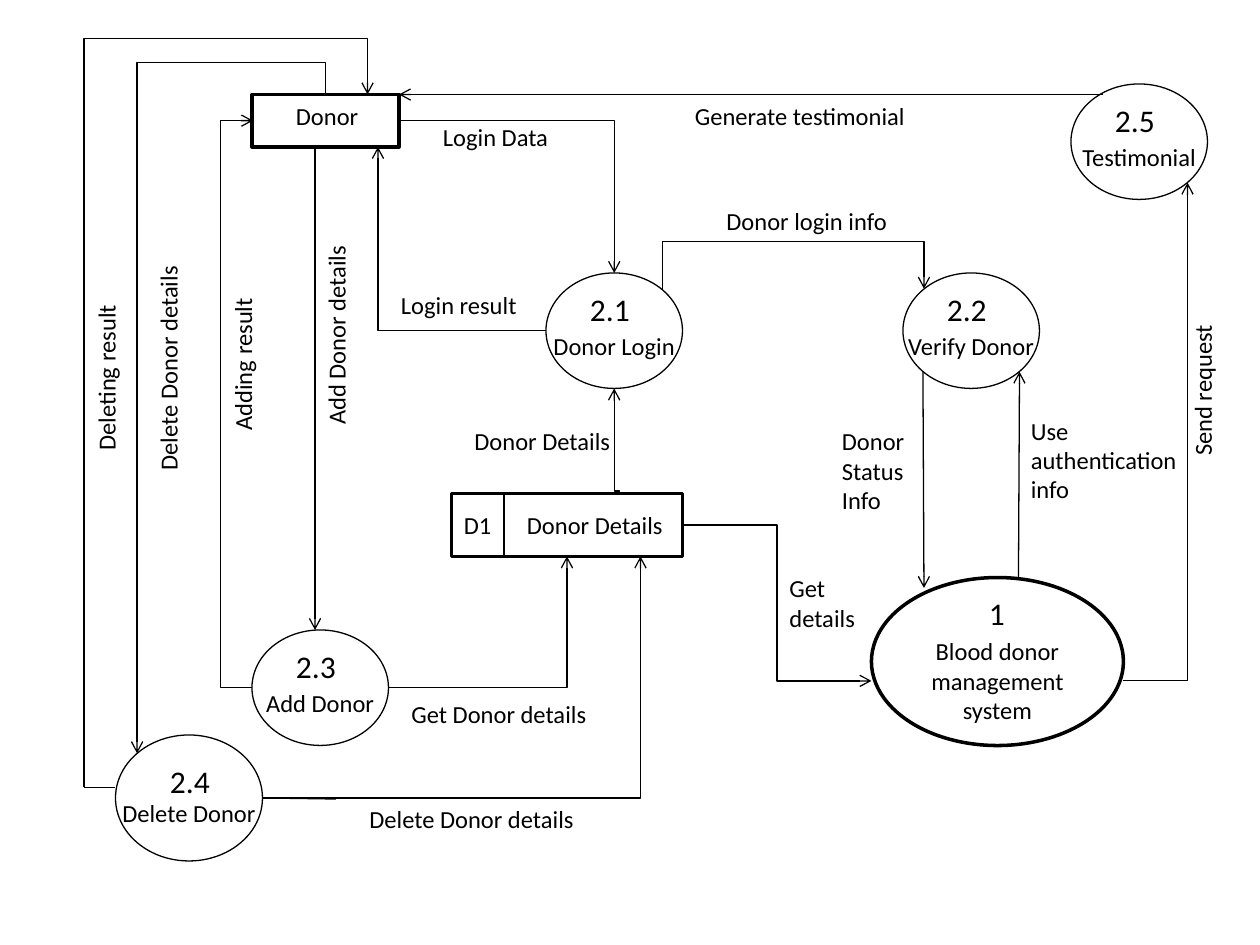
import pptx
import pptx.dml.color
import pptx.enum.shapes
import pptx.enum.text
import pptx.oxml.ns
import pptx.util
from lxml import etree

# The slide is a grid of 120 columns by 90 rows; every length below is in cells.
CELL = 1 / 12
FONT, INK, PAPER = "Calibri", "000000", "FFFFFF"
THIN, THICK = 0.75, 2
TEXT, NUMBER = 14, 18
LINE_HEIGHT = 2.8

RECTANGLE = pptx.enum.shapes.MSO_SHAPE.RECTANGLE
OVAL = pptx.enum.shapes.MSO_SHAPE.OVAL
LEFT = pptx.enum.text.PP_ALIGN.LEFT
CENTER = pptx.enum.text.PP_ALIGN.CENTER

# number, caption, (left, top, width, height), (number left, number top)
PROCESSES = [
    ("2.1", "Donor Login", (52, 26, 13, 11), (55, 27)),
    ("2.2", "Verify Donor", (86, 26, 13, 11), (89, 27)),
    ("2.3", "Add Donor", (24, 60, 13, 11), (27, 61)),
    ("2.4", "Delete Donor", (11, 70, 14, 12), (15, 72)),
    ("2.5", "Testimonial", (102, 8, 13, 11), (105, 9)),
]

# lines, left, top, width
LABELS = [
    (["Donor"], 27, 9, 8.4),
    (["D1"], 43, 48, 5),
    (["Donor Details"], 49, 48, 15.5),
    (["Login Data"], 41, 11, 12.6),
    (["Donor login info"], 68, 19, 17.9),
    (["Login result"], 37, 27, 13.6),
    (["Donor Details"], 44, 40, 15.5),
    (["Get Donor details"], 38, 66, 19.3),
    (["Delete Donor details"], 34, 76, 22.1),
    (["Generate testimonial"], 65, 9, 22.7),
    (["Use", "authentication", "info"], 97, 39, 17),
    (["Donor", "Status", "Info"], 79, 40, 9),
    (["Get", "details"], 74, 54, 8.8),
]

# text, centre column, centre row, length
UPRIGHT_LABELS = [
    ("Deleting result", 10.1, 35.6, 17),
    ("Delete Donor details", 16, 34.8, 22.4),
    ("Adding result", 23.1, 34.6, 15.2),
    ("Add Donor details", 32, 31.8, 19.7),
    ("Send request", 114.5, 37.1, 15),
]

# corner points of each arrow, from tail to head
FLOWS = [
    [(38, 11.5), (58.5, 11.5), (58.5, 26)],
    [(63.1, 27.6), (63.1, 23), (88, 23), (88, 27.5)],
    [(97, 55), (97.1, 35.4)],
    [(87.9, 35.4), (88, 56)],
    [(30, 14), (30, 60)],
    [(37, 65.5), (54, 65.5), (54, 53)],
    [(24, 65.5), (21, 65.5), (21, 11.5), (24.1, 11.5)],
    [(52, 31.5), (36, 31.5), (36, 14)],
    [(59, 47), (59, 46.75), (58.5, 46.75), (58.5, 37)],
    [(31, 9), (31, 6), (13.05, 6), (13.05, 71.75)],
    [(25, 76), (61, 76), (61, 53)],
    [(8, 75), (8, 3.65), (35, 3.65), (35, 9)],
    [(105, 9), (38, 9)],
    [(65, 50), (74, 50), (74, 64.85), (83, 64.85)],
    [(107, 64.8), (113.1, 64.8), (113.1, 17.4)],
]

PLAIN_LINES = [
    [(48, 47), (48, 53)],
    [(32, 76.1), (25, 76)],
    [(8, 75), (11, 75)],
]


def color(hex_text):
    return pptx.dml.color.RGBColor.from_string(hex_text)


def cells(*counts):
    return [pptx.util.Inches(count * CELL) for count in counts]


def write(para, text, size, align):
    para.alignment = align
    span = para.add_run()
    span.text = text
    span.font.name = FONT
    span.font.size = pptx.util.Pt(size)
    span.font.color.rgb = color(INK)


def add_outline(page, kind, frame, weight):
    shape = page.shapes.add_shape(kind, *cells(*frame))
    shape.shadow.inherit = False
    shape.fill.background()
    shape.line.color.rgb = color(INK)
    shape.line.width = pptx.util.Pt(weight)
    return shape


def add_label(page, lines, left, top, width, size=TEXT, align=LEFT):
    height = len(lines) * LINE_HEIGHT + 1.2
    box = page.shapes.add_textbox(*cells(left, top, width, height))
    frame = box.text_frame
    frame.word_wrap = len(lines) > 1
    frame.auto_size = pptx.enum.text.MSO_AUTO_SIZE.SHAPE_TO_FIT_TEXT
    for index, line in enumerate(lines):
        para = frame.add_paragraph() if index else frame.paragraphs[0]
        write(para, line, size, align)
    return box


def add_upright_label(page, text, column, row, length):
    """Add a label that reads upwards, centred on a grid point."""
    top = row - (LINE_HEIGHT + 1.2) / 2
    add_label(page, [text], column - length / 2, top, length).rotation = 270


def add_process(page, number, caption, frame, number_at):
    oval = add_outline(page, OVAL, frame, THIN)
    body = oval.text_frame
    body.word_wrap = False
    body.vertical_anchor = pptx.enum.text.MSO_ANCHOR.MIDDLE
    body.margin_top = cells(LINE_HEIGHT + 0.6)[0]
    write(body.paragraphs[0], caption, TEXT, CENTER)
    add_label(page, [number], *number_at, 6.2, NUMBER)


def add_route(page, points, arrow):
    """Add a straight line (2 points) or an elbow connector (3 or 4 points)."""
    (x1, y1), (x2, y2) = points[0], points[-1]
    upright = len(points) == 4 and points[1][0] == x1
    share = None
    if len(points) == 4:
        share = (points[1][1] - y1) / (y2 - y1) if upright else (points[1][0] - x1) / (x2 - x1)
    if upright:
        # An elbow starts level, so lay the route flat and turn it a quarter round.
        middle_x, middle_y = (x1 + x2) / 2, (y1 + y2) / 2
        half_x, half_y = (x2 - x1) / 2, (y2 - y1) / 2
        x1, y1 = middle_x - half_y, middle_y + half_x
        x2, y2 = middle_x + half_y, middle_y - half_x

    kinds = pptx.enum.shapes.MSO_CONNECTOR
    kind = kinds.STRAIGHT if len(points) == 2 else kinds.ELBOW
    line = page.shapes.add_connector(kind, *cells(x1, y1, x2, y2))
    line.line.color.rgb = color(INK)
    line.line.width = pptx.util.Pt(THIN)

    qn = pptx.oxml.ns.qn
    properties = line._element.spPr
    geometry = properties.find(qn("a:prstGeom"))
    if len(points) == 3:
        geometry.set("prst", "bentConnector2")
    if share is not None:
        guides = geometry.find(qn("a:avLst"))
        etree.SubElement(guides, qn("a:gd"), name="adj1", fmla=f"val {round(share * 100000)}")
    if upright:
        properties.find(qn("a:xfrm")).set("rot", "5400000")
    if arrow:
        etree.SubElement(properties.find(qn("a:ln")), qn("a:tailEnd"), type="arrow")
    etree.SubElement(properties, qn("a:effectLst"))


def main():
    deck = pptx.Presentation()
    deck.slide_width, deck.slide_height = cells(120, 90)
    page = deck.slides.add_slide(deck.slide_layouts[6])
    page.background.fill.solid()
    page.background.fill.fore_color.rgb = color(PAPER)

    add_outline(page, OVAL, (83, 55, 24, 16), THICK)
    add_label(page, ["Blood donor", "management", "system"], 83, 60, 24, align=CENTER)
    add_label(page, ["1"], 93, 56, 4, NUMBER)
    add_outline(page, RECTANGLE, (24, 9, 14, 5), THICK)
    add_outline(page, RECTANGLE, (43, 47, 22, 6), THICK)
    for process in PROCESSES:
        add_process(page, *process)
    for points in FLOWS:
        add_route(page, points, arrow=True)
    for points in PLAIN_LINES:
        add_route(page, points, arrow=False)
    for label in LABELS:
        add_label(page, *label)
    for label in UPRIGHT_LABELS:
        add_upright_label(page, *label)
    deck.save("out.pptx")


if __name__ == "__main__":
    main()
